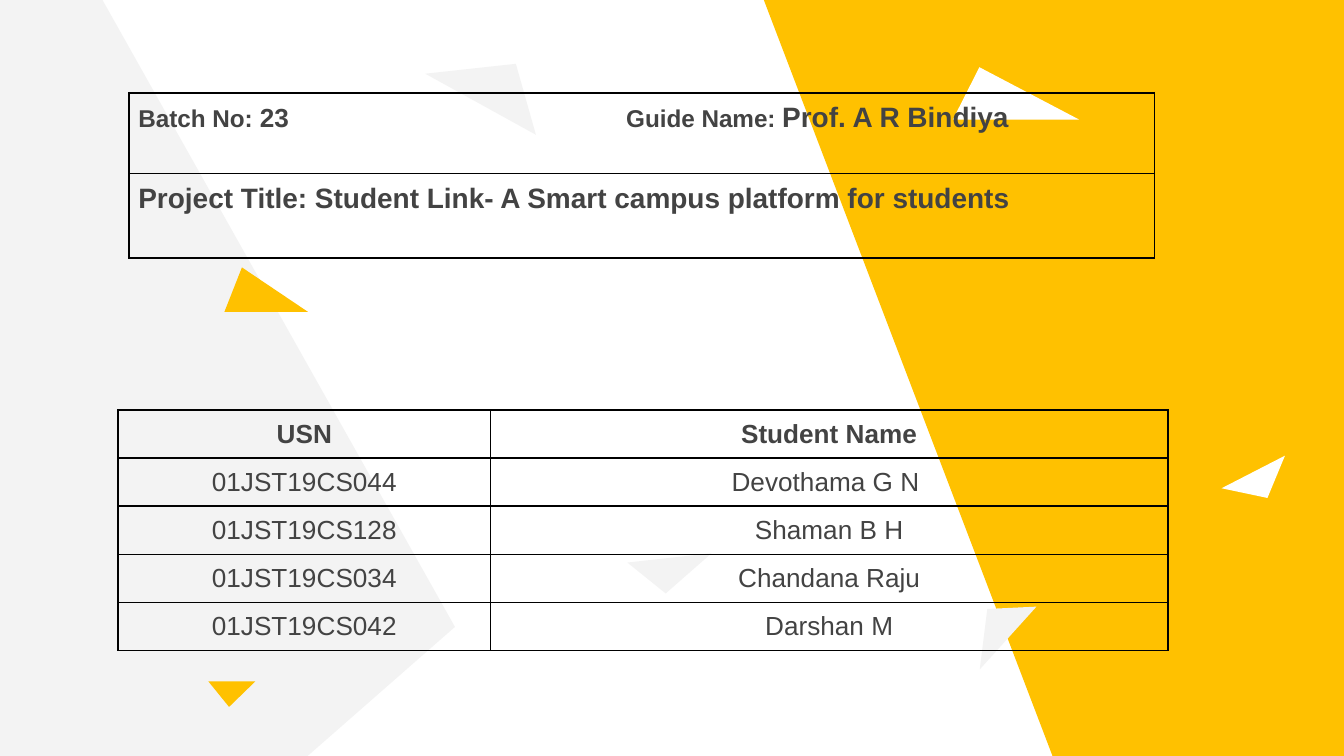
from lxml.etree import SubElement
from pptx import Presentation
from pptx.dml.color import RGBColor
from pptx.enum.shapes import MSO_SHAPE
from pptx.enum.text import PP_ALIGN
from pptx.oxml.ns import qn
from pptx.util import Inches, Pt

COLORS = {"gold": "FFC100", "gray": "F3F3F3", "white": "FFFFFF",
          "text": "434343", "line": "000000"}

SHARDS = [
    (-0.45, 1.21, 16.54, 4.8, 270, 0.76, "gold"),
    (-2.81, 1.44, 9, 3.39, 90, 0.67, "gray"),
    (1.67, 1.99, 0.62, 0.33, 0, 0.21, "gold"),
    (3.2, 0.41, 0.94, 0.39, 28.9, 0.59, "gray"),
    (7.09, 0.5, 0.94, 0.39, 0, 0.21, "white"),
    (7.09, 4.53, 0.63, 0.26, 312.1, 0.59, "gray"),
    (4.68, 4.15, 0.63, 0.26, 173.7, 0.59, "gray"),
    (9.11, 3.5, 0.53, 0.22, 152.8, 0.49, "white"),
    (1.55, 5.07, 0.35, 0.19, 180, 0.56, "gold"),
]

STUDENTS = [
    ("USN", "Student Name"),
    ("01JST19CS044", "Devothama G N "),
    ("01JST19CS128", "Shaman B H"),
    ("01JST19CS034", "Chandana Raju"),
    ("01JST19CS042", "Darshan M"),
]

PROJECT = [
    [("Batch No:", 13), (" 23", 14), ("\tGuide Name: ", 13),
     ("Prof. A R Bindiya", 15)],
    [("Project Title: Student Link- A Smart campus platform for students", 15)],
]


def color(name):
    return RGBColor.from_string(COLORS[name])


def style(run, size, bold):
    run.font.name = "Arial"
    run.font.size = Pt(size)
    run.font.bold = bold
    run.font.color.rgb = color("text")


def frame(cell):
    props = cell._tc.get_or_add_tcPr()
    for side in ("lnL", "lnR", "lnT", "lnB"):
        line = SubElement(props, qn(f"a:{side}"), w=str(Pt(1)))
        fill = SubElement(line, qn("a:solidFill"))
        SubElement(fill, qn("a:srgbClr"), val=COLORS["line"])
    cell.fill.background()
    cell.margin_left = cell.margin_right = Inches(0.07)
    cell.margin_top = cell.margin_bottom = Inches(0.07)


def add_grid(slide, left, top, widths, heights):
    table = slide.shapes.add_table(
        len(heights), len(widths), Inches(left), Inches(top),
        Inches(sum(widths)), Inches(sum(heights))).table
    table.first_row = table.horz_banding = False
    for column, width in zip(table.columns, widths):
        column.width = Inches(width)
    for row, height in zip(table.rows, heights):
        row.height = Inches(height)
    for cell in table.iter_cells():
        frame(cell)
    return table


def add_shards(slide, left, top):
    for x, y, width, height, angle, peak, fill in SHARDS:
        shard = slide.shapes.add_shape(
            MSO_SHAPE.ISOSCELES_TRIANGLE, Inches(left + x), Inches(top + y),
            Inches(width), Inches(height))
        shard.adjustments[0] = peak
        shard.rotation = angle
        shard.shadow.inherit = False
        shard.fill.solid()
        shard.fill.fore_color.rgb = color(fill)
        shard.line.fill.background()


def add_project(slide, left, top, width):
    table = add_grid(slide, left, top, [width], [0.6, 0.63])
    for cell, parts in zip(table.iter_cells(), PROJECT):
        para = cell.text_frame.paragraphs[0]
        for text, size in parts:
            run = para.add_run()
            run.text = text
            style(run, size, True)
    first = table.cell(0, 0).text_frame.paragraphs[0]
    tabs = SubElement(first._p.get_or_add_pPr(), qn("a:tabLst"))
    SubElement(tabs, qn("a:tab"), pos=str(Inches(3.63)), algn="l")


def add_students(slide, left, top, widths, height):
    table = add_grid(slide, left, top, widths, [height] * len(STUDENTS))
    for row, names in enumerate(STUDENTS):
        for col, name in enumerate(names):
            para = table.cell(row, col).text_frame.paragraphs[0]
            para.text = name
            para.alignment = PP_ALIGN.CENTER
            style(para.runs[0], 14, row == 0)


def main():
    deck = Presentation()
    deck.slide_width = Inches(10)
    deck.slide_height = deck.slide_width * 9 // 16
    slide = deck.slides.add_slide(deck.slide_layouts[6])
    slide.background.fill.solid()
    slide.background.fill.fore_color.rgb = color("white")
    add_shards(slide, 0, 0)
    add_project(slide, 0.96, 0.69, 7.63)
    add_students(slide, 0.88, 3.05, [2.77, 5.04], 0.34)
    deck.save("out.pptx")


if __name__ == "__main__":
    main()
